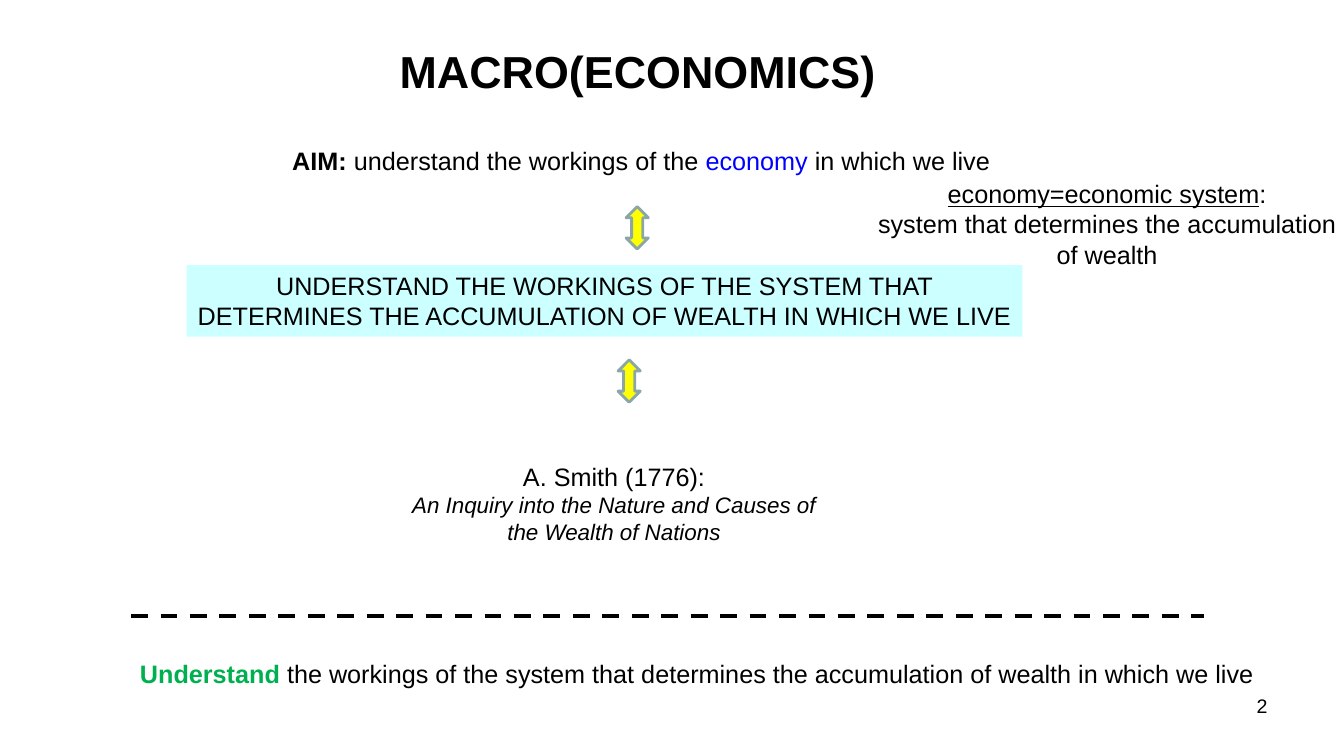
import pptx
import pptx.util
import pptx.dml.color
import pptx.enum.dml
import pptx.enum.shapes
import pptx.enum.text
from pptx.util import Inches

ALIGN = pptx.enum.text.PP_ALIGN
ANCHOR = pptx.enum.text.MSO_ANCHOR
SHAPE = pptx.enum.shapes.MSO_SHAPE
BLACK = "000000"


def rgb(color):
    return pptx.dml.color.RGBColor.from_string(color)


def run(text, size=18, color=BLACK, bold=False, italic=False, underline=False):
    """Describe one run of text for write()."""
    return text, size, color, bold, italic, underline


def write(shape, paragraphs, align, anchor=ANCHOR.TOP):
    """Fill a shape with paragraphs, each a list of runs."""
    frame = shape.text_frame
    frame.word_wrap = True
    frame.vertical_anchor = anchor
    for index, runs in enumerate(paragraphs):
        paragraph = frame.add_paragraph() if index else frame.paragraphs[0]
        paragraph.alignment = align
        for text, size, color, bold, italic, underline in runs:
            piece = paragraph.add_run()
            piece.text = text
            font = piece.font
            font.name = "Arial"
            font.size = pptx.util.Pt(size)
            font.color.rgb = rgb(color)
            font.bold = bold
            font.italic = italic
            font.underline = underline


def add_text(slide, left, top, width, height, paragraphs,
             align=ALIGN.CENTER, anchor=ANCHOR.TOP):
    box = slide.shapes.add_textbox(
        Inches(left), Inches(top), Inches(width), Inches(height))
    write(box, paragraphs, align, anchor)


def add_filled(slide, preset, left, top, width, height, fill):
    shape = slide.shapes.add_shape(
        preset, Inches(left), Inches(top), Inches(width), Inches(height))
    shape.shadow.inherit = False
    shape.fill.solid()
    shape.fill.fore_color.rgb = rgb(fill)
    shape.line.fill.background()
    return shape


def add_equivalence_arrow(slide, left, top):
    """Add a double arrow that links two equivalent statements."""
    arrow = add_filled(slide, SHAPE.LEFT_RIGHT_ARROW, left, top, 0.42, 0.22, "FFFF00")
    arrow.rotation = 270
    arrow.line.color.rgb = rgb("8AA6A8")
    arrow.line.width = pptx.util.Pt(2)


def add_dashed_divider(slide, left, right, y):
    divider = slide.shapes.add_connector(
        pptx.enum.shapes.MSO_CONNECTOR.STRAIGHT,
        Inches(left), Inches(y), Inches(right), Inches(y))
    divider.line.color.rgb = rgb(BLACK)
    divider.line.width = pptx.util.Pt(3)
    divider.line.dash_style = pptx.enum.dml.MSO_LINE.DASH
    properties = divider._element.spPr
    properties.append(pptx.oxml.parse_xml(
        '<a:effectLst xmlns:a="http://schemas.openxmlformats.org/drawingml/2006/main"/>'))


def main():
    deck = pptx.Presentation()
    deck.slide_width = Inches(13.33)
    deck.slide_height = Inches(7.5)
    slide = deck.slides.add_slide(deck.slide_layouts[6])

    add_text(slide, 9.56, 6.83, 3.11, 0.52, [[run("2", 14)]], ALIGN.RIGHT)
    add_text(slide, 3.41, 0.28, 5.83, 0.85,
             [[run("MACRO(ECONOMICS)", 32, bold=True)]], anchor=ANCHOR.MIDDLE)
    add_text(slide, 8.52, 1.72, 4.92, 1.01, [
        [run("economy=economic system", underline=True), run(":")],
        [run("system that determines the accumulation of wealth")],
    ])
    add_text(slide, 3.93, 4.52, 4.32, 0.94, [
        [run("A. Smith (1776):")],
        [run("An Inquiry into the Nature and Causes of the Wealth of Nations",
             16, italic=True)],
    ], anchor=ANCHOR.MIDDLE)

    goal = add_filled(slide, SHAPE.RECTANGLE, 1.85, 2.63, 8.29, 0.71, "CCFFFF")
    write(goal, [[run("UNDERSTAND THE WORKINGS OF THE SYSTEM THAT DETERMINES "
                      "THE ACCUMULATION OF WEALTH IN WHICH WE LIVE")]], ALIGN.CENTER)

    add_equivalence_arrow(slide, 6.11, 2.15)
    add_equivalence_arrow(slide, 6.03, 3.67)

    add_text(slide, 2.8, 1.39, 7.38, 0.4, [[
        run("AIM: ", bold=True),
        run("understand the workings of the "),
        run("economy", color="0000FF"),
        run(" in which we live"),
    ]], ALIGN.LEFT)
    add_text(slide, 1.29, 6.48, 11.37, 0.4, [[
        run("Understand ", color="00B050", bold=True),
        run("the workings of the system that determines the accumulation "
            "of wealth in which we live"),
    ]], ALIGN.LEFT)
    add_dashed_divider(slide, 1.3, 11.94, 6.11)

    deck.save("out.pptx")


if __name__ == "__main__":
    main()
